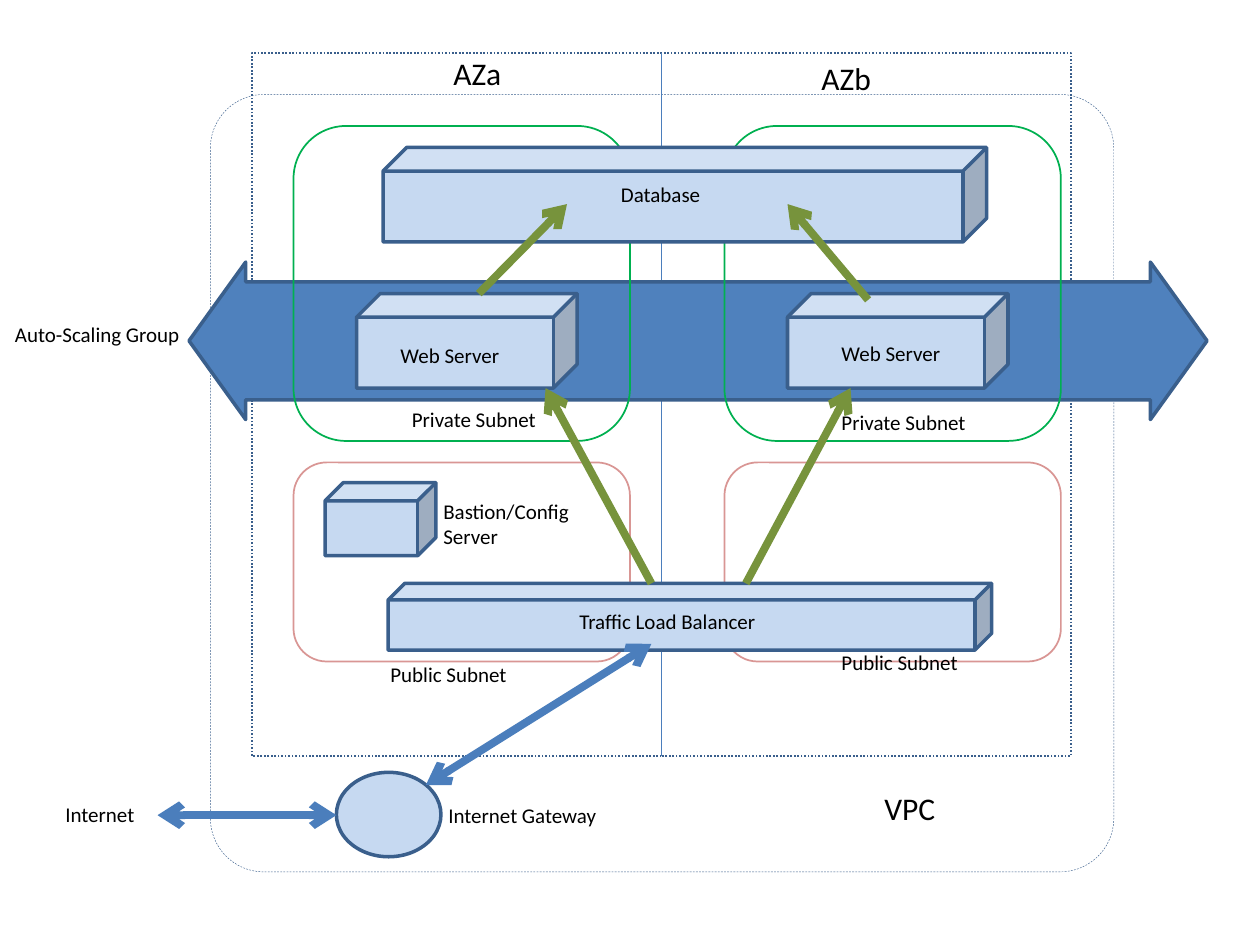
from lxml.etree import SubElement
from pptx import Presentation
from pptx.dml.color import RGBColor
from pptx.enum.dml import MSO_LINE as Dash
from pptx.enum.shapes import MSO_CONNECTOR as Link, MSO_SHAPE as Kind
from pptx.oxml.ns import qn
from pptx.util import Inches, Pt

NAVY = RGBColor(0x3A, 0x5F, 0x8C)
BLUE = RGBColor(0x4F, 0x81, 0xBD)
STEEL = RGBColor(0x4B, 0x7E, 0xBC)
PALE = RGBColor(0xC6, 0xD9, 0xF1)
GREEN = RGBColor(0x00, 0xB0, 0x50)
OLIVE = RGBColor(0x77, 0x93, 0x3C)
PINK = RGBColor(0xD9, 0x96, 0x94)
BLACK = RGBColor(0, 0, 0)


def add_box(slide, kind, box, color=NAVY, width=2, fill=None, dash=None, adjust=()):
    """Draw a preset shape; box is left, top, width, height in inches."""
    shape = slide.shapes.add_shape(kind, *map(Inches, box))
    shape.shadow.inherit = False
    if fill is None:
        shape.fill.background()
    else:
        shape.fill.solid()
        shape.fill.fore_color.rgb = fill
    shape.line.color.rgb = color
    shape.line.width = Pt(width)
    if dash is not None:
        shape.line.dash_style = dash
    for i, value in enumerate(adjust):
        shape.adjustments[i] = value
    return shape


def add_label(slide, text, left, top, width=1.75, height=0.3, size=12):
    label = slide.shapes.add_textbox(*map(Inches, (left, top, width, height)))
    frame = label.text_frame
    frame.word_wrap = True
    frame.text = text
    font = frame.paragraphs[0].runs[0].font
    font.name = "Calibri"
    font.size = Pt(size)
    font.color.rgb = BLACK


def add_line(slide, start, end, color, width=4.5, heads=()):
    """Draw a line; heads names the ends (headEnd, tailEnd) with an arrowhead."""
    line = slide.shapes.add_connector(Link.STRAIGHT, *map(Inches, start + end))
    line.line.color.rgb = color
    line.line.width = Pt(width)
    outline = line.line._get_or_add_ln()
    for head in heads:
        SubElement(outline, qn(f"a:{head}"), type="arrow")
    SubElement(line._element.spPr, qn("a:effectLst"))
    return line


def draw_cloud(slide, left, top):
    """Draw the VPC outline, the zone frame and its dividing line."""
    add_box(slide, Kind.ROUNDED_RECTANGLE, (left, top, 7.17, 6.17),
            width=0.25, dash=Dash.DASH, adjust=[0.069])
    x, y, w, h = left + 0.33, top - 0.33, 6.5, 5.58
    zones = add_box(slide, Kind.RECTANGLE, (x, y, w, h), width=1, dash=Dash.ROUND_DOT)
    mid = x + w / 2
    split = add_line(slide, (mid, y), (mid, y + h), STEEL, 0.75)
    split.begin_connect(zones, 0)
    split.end_connect(zones, 2)
    add_label(slide, "VPC", left + 5.25, top + 5.46, 0.83, 0.4, 18)


def draw_group(slide, left, top):
    add_box(slide, Kind.LEFT_RIGHT_ARROW, (left, top, 8.08, 1.25),
            fill=BLUE, adjust=[0.749, 0.36])
    add_label(slide, "Auto-Scaling Group", left - 1.48, top + 0.42)


def draw_zone(slide, left, top, name, title, labels):
    """Draw one zone: two subnets and a web server; labels are offsets."""
    add_label(slide, name, left + title[0], top + title[1], 0.92, 0.4, 18)
    add_box(slide, Kind.ROUNDED_RECTANGLE, (left, top, 2.67, 2.5), GREEN, 1)
    add_box(slide, Kind.ROUNDED_RECTANGLE, (left, top + 2.67, 2.67, 1.58), PINK, 1)
    add_box(slide, Kind.CUBE, (left + 0.5, top + 1.33, 1.75, 0.75), fill=PALE)
    texts = ("Web Server", "Private Subnet", "Public Subnet")
    for text, (dx, dy) in zip(texts, labels):
        add_label(slide, text, left + dx, top + dy)


def draw_cube(slide, box, text, label):
    """Draw a cube with a label at its own offset and size."""
    add_box(slide, Kind.CUBE, box, fill=PALE)
    dx, dy, width, height = label
    add_label(slide, text, box[0] + dx, box[1] + dy, width, height)


def draw_gateway(slide, left, top):
    add_box(slide, Kind.OVAL, (left, top, 0.83, 0.67), fill=PALE)
    add_label(slide, "Internet Gateway", left + 0.79, top + 0.19)
    add_label(slide, "Internet", left - 2.25, top + 0.18)
    both = ("headEnd", "tailEnd")
    add_line(slide, (left + 2.5, top - 1.02), (left + 0.71, top + 0.1), STEEL, heads=both)
    add_line(slide, (left, top + 0.34), (left - 1.42, top + 0.34), STEEL, heads=both)


def draw_flows(slide):
    flows = [
        ((5.17, 4.63), (4.33, 3.08)),
        ((5.92, 4.63), (6.75, 3.08)),
        ((3.8, 2.33), (4.5, 1.62)),
        ((6.89, 2.38), (6.25, 1.62)),
    ]
    for start, end in flows:
        add_line(slide, start, end, OLIVE, heads=["tailEnd"])


def main():
    deck = Presentation()
    deck.slide_width, deck.slide_height = Inches(10), Inches(7.5)
    slide = deck.slides.add_slide(deck.slide_layouts[6])
    draw_cloud(slide, 1.67, 0.75)
    draw_group(slide, 1.5, 2.08)
    draw_zone(slide, 2.33, 1, "AZa", (1.17, -0.62),
              [(0.75, 1.67), (0.84, 2.18), (0.67, 4.2)])
    draw_zone(slide, 5.75, 1, "AZb", (0.67, -0.58),
              [(0.83, 1.65), (0.83, 2.2), (0.83, 4.11)])
    draw_cube(slide, (3.04, 1.17, 4.79, 0.75), "Database", (1.79, 0.22, 1, 0.3))
    draw_cube(slide, (2.58, 3.83, 0.88, 0.58), "Bastion/Config Server",
              (0.84, 0.08, 1.58, 0.5))
    draw_cube(slide, (3.08, 4.63, 4.79, 0.53), "Traffic Load Balancer",
              (1.42, 0.15, 2.08, 0.3))
    draw_flows(slide)
    draw_gateway(slide, 2.67, 6.13)
    deck.save("out.pptx")


if __name__ == "__main__":
    main()
